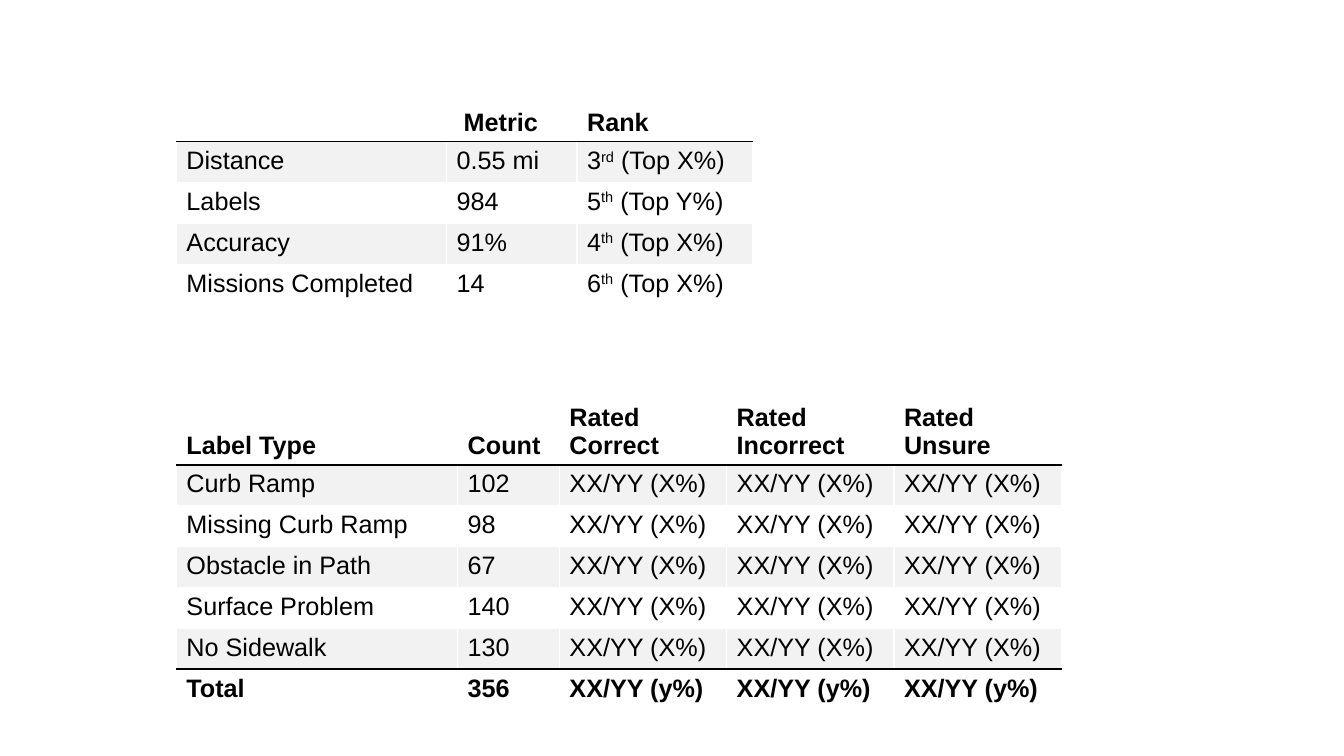
from lxml import etree
from pptx import Presentation
from pptx.dml.color import RGBColor
from pptx.enum.text import MSO_ANCHOR
from pptx.oxml.ns import qn
from pptx.util import Pt

BOTTOM = MSO_ANCHOR.BOTTOM
TOP = MSO_ANCHOR.TOP
BLACK, WHITE, BAND = "000000", "FFFFFF", "F2F2F2"
ROW_H = 29.2
LEFT = 126


def rgb(value):
    return RGBColor.from_string(value)


def add_border(cell, side, color, width):
    """Draw one cell edge; side is L, R, T or B."""
    ln = etree.SubElement(cell._tc.get_or_add_tcPr(), qn(f"a:ln{side}"), w=str(Pt(width)))
    fill = etree.SubElement(ln, qn("a:solidFill"))
    etree.SubElement(fill, qn("a:srgbClr"), val=color)


ratings = ["XX/YY (X%)"] * 3
label_rows = [
    ["Label Type", "Count", "Rated Correct", "Rated Incorrect", "Rated Unsure"],
    ["Curb Ramp", "102", *ratings],
    ["Missing Curb Ramp", "98", *ratings],
    ["Obstacle in Path", "67", *ratings],
    ["Surface Problem", "140", *ratings],
    ["No Sidewalk", "130", *ratings],
    ["Total", "356", *["XX/YY (y%)"] * 3],
]
# A bar in the text sets off the superscript
metric_rows = [
    ["", " Metric", "Rank"],
    ["Distance", "0.55 mi", "3|rd| (Top X%)"],
    ["Labels", "984", "5|th| (Top Y%)"],
    ["Accuracy", "91%", "4|th| (Top X%)"],
    ["Missions Completed", "14", "6|th| (Top X%)"],
]

# top, header height, column widths, rows, bold rows, black rules {row below: width}
tables = [
    (283.5, 48.6, [200.9, 72.7, 119.5, 119.5, 119.5], label_rows, {0, 6}, {1: 1, 6: 1.5}),
    (72, ROW_H, [193, 93.2, 125.4], metric_rows, {0}, {1: 1}),
]

prs = Presentation()
prs.slide_width, prs.slide_height = Pt(960), Pt(540)
s = prs.slides.add_slide(prs.slide_layouts[6])

for top, header_h, widths, rows, bold_rows, rules in tables:
    heights = [header_h] + [ROW_H] * (len(rows) - 1)
    frame = s.shapes.add_table(len(rows), len(widths), Pt(LEFT), Pt(top),
                               Pt(sum(widths)), Pt(sum(heights)))
    table = frame.table
    table.first_row = table.horz_banding = False
    for column, width in zip(table.columns, widths):
        column.width = Pt(width)

    for i, texts in enumerate(rows):
        table.rows[i].height = Pt(heights[i])
        for j, text in enumerate(texts):
            cell = table.cell(i, j)
            for side, edge in (("L", None), ("R", None), ("T", i), ("B", i + 1)):
                add_border(cell, side, BLACK if edge in rules else WHITE, rules.get(edge, 1))
            cell.fill.solid()
            cell.fill.fore_color.rgb = rgb(BAND if i % 2 else WHITE)
            cell.vertical_anchor = BOTTOM if i == 0 else TOP
            if not text:
                continue
            p = cell.text_frame.paragraphs[0]
            for n, part in enumerate(text.split("|")):
                r = p.add_run()
                r.text = part
                r.font.name = "Arial"
                r.font.size = Pt(18)
                r.font.bold = i in bold_rows
                r.font.color.rgb = rgb(BLACK)
                if n == 1:
                    r._r.get_or_add_rPr().set("baseline", "30000")

prs.save("out.pptx")
